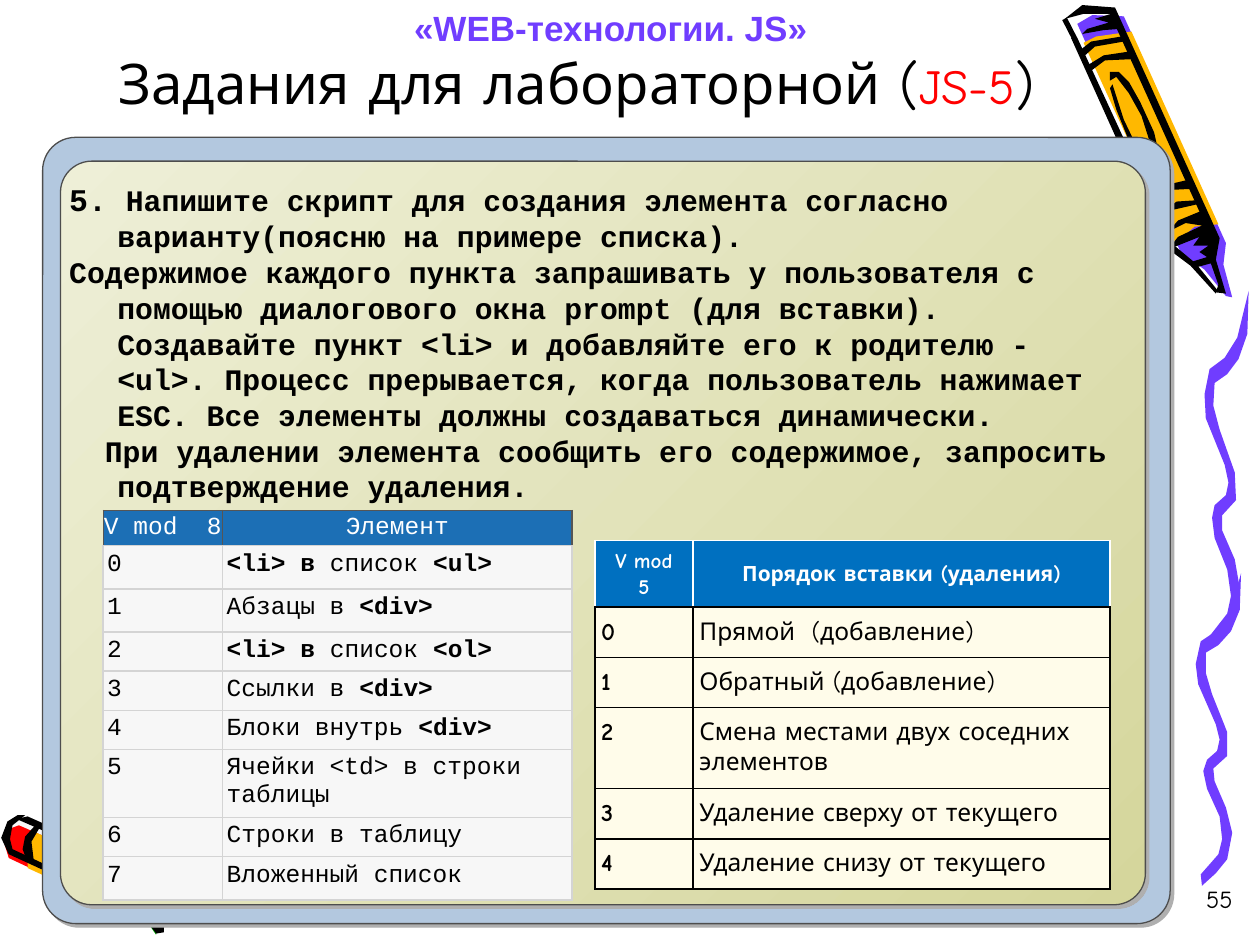
from dataclasses import dataclass

from lxml import etree
from pptx import Presentation
from pptx.dml.color import RGBColor
from pptx.enum.shapes import MSO_CONNECTOR, MSO_SHAPE
from pptx.enum.text import MSO_ANCHOR, MSO_AUTO_SIZE, PP_ALIGN
from pptx.oxml.ns import qn
from pptx.util import Cm, Pt

STRAIGHT, ROUNDED = MSO_CONNECTOR.STRAIGHT, MSO_SHAPE.ROUNDED_RECTANGLE
TOP, MIDDLE, BOTTOM = MSO_ANCHOR.TOP, MSO_ANCHOR.MIDDLE, MSO_ANCHOR.BOTTOM
LEFT, CENTER, RIGHT = PP_ALIGN.LEFT, PP_ALIGN.CENTER, PP_ALIGN.RIGHT
NO_FIT = MSO_AUTO_SIZE.NONE
ART_UNIT = Cm(0.0254)  # one step of the outline coordinates


@dataclass(frozen=True)
class Theme:
    hand: str = "Comic Neue"
    mono: str = "Courier New"
    sans: str = "Arial"
    black: str = "000000"
    white: str = "FFFFFF"
    red: str = "FF0000"
    violet: str = "703DFF"
    amber: str = "FFB800"
    green: str = "00B200"
    pale: str = "F8F8F8"
    panel: str = "B3C8DF"
    panel_line: str = "4D4D4D"
    shadow: str = "AFAFAF"
    sheet: tuple = ("EEEFD7", "D5D69C")
    title: int = 32
    code: int = 28
    banner: int = 20
    number: int = 18
    task: int = 17
    cell: int = 14
    small: int = 12


T = Theme()

# Outlines: fill and x y pairs, measured from the corner of their box
PENCIL = [
    (T.violet, "55 19 137 200 156 214 173 235 178 236 171 210 173 193 92 13 67 12"),
    (T.amber, "133 193 148 180 167 178 98 25 70 29 60 34"),
    (T.black, "129 199 145 211 165 233 166 230 149 209 131 194"),
    (T.black, "59 27 76 24 89 23 82 11 69 15 80 18 63 23"),
    (T.black, "81 70 86 87 97 114 110 132 118 135 121 127 116 105 105 81 96 65 88 57 81 57 "
              "81 64 86 61 96 74 106 92 114 117 113 129 105 122 92 95 83 67"),
    (T.black, "50 30 123 192 125 182 55 30"),
    (T.black, "127 198 135 188 154 179 141 177 127 184 135 175 152 168 81 11 60 11 45 15 59 4 "
              "85 6 168 189 165 206 173 233 165 232 167 226 161 209 150 212 145 208 158 204 "
              "152 200 159 195 147 195 152 188"),
    (T.black, "121 175 129 167 151 162 149 159 134 160 118 171"),
    (T.black, "112 160 125 151 145 150 142 143 125 147 110 155"),
    (T.black, "65 57 77 48 99 47 96 41 76 44 63 52"),
    (T.black, "60 45 69 37 92 33 90 29 66 33 57 40"),
]
CRAYON = [
    (T.pale, "142 118 127 105 120 50 190 37 193 26 186 17 115 27 110 11 98 9 87 11 81 18 86 33 "
             "61 47 90 50 101 86 16 49 8 53 4 64 9 76 103 120 124 118 141 121"),
    (T.red, "15 55 119 100 127 111 141 124 139 126 121 123 103 126 7 81 3 68 7 58"),
    (T.amber, "22 89 103 126 104 108 114 98 29 61 22 72"),
    (T.green, "124 123 124 142 111 123 118 123"),
    (T.black, "110 122 124 141 130 140 130 120 125 118 126 135 117 119"),
    (T.black, "22 48 116 90 107 91 13 50"),
    (T.black, "14 47 6 52 1 65 7 78 103 122 124 120 141 124 147 117 131 105 125 92 120 93 "
              "126 105 138 118 124 116 107 118 110 104 117 94 109 95 102 104 100 116 10 74 "
              "8 66 10 55 20 47"),
    (T.black, "28 55 20 64 18 74 21 82 27 84 25 68 32 56"),
]
SQUIGGLE = [
    (T.violet, "53 494 67 478 70 466 68 448 58 426 55 412 58 403 66 396 68 387 65 375 51 343 "
               "49 327 53 309 65 301 76 287 85 255 84 284 77 301 67 312 57 318 57 334 62 351 "
               "74 381 74 400 63 410 64 420 73 441 78 461 74 482 65 493 54 503"),
    (T.violet, "60 305 74 287 77 273 74 252 64 227 62 211 64 201 73 193 75 183 72 169 57 132 "
               "56 113 60 93 72 84 82 68 91 31 90 65 83 85 74 97 64 104 63 122 68 141 80 175 "
               "81 197 70 209 70 221 80 244 84 267 80 291 72 304 61 315"),
]

TASK = [
    (-0.97, "5. ", "Напишите скрипт для создания элемента согласно варианту(поясню на примере списка)."),
    (-0.97, "", "Содержимое каждого пункта запрашивать у пользователя с помощью диалогового окна prompt "
     "(для вставки). Создавайте пункт <li> и добавляйте его к родителю - <ul>. Процесс прерывается, "
     "когда пользователь нажимает ESC. Все элементы должны создаваться динамически."),
    (-0.25, "", "При удалении элемента сообщить его содержимое, запросить подтверждение удаления."),
]

# Table rows: every second piece between bars is bold
ELEMENTS = dict(
    cols=(2.41, 7.04), rows=(0.71, 0.87, 0.87, 0.79, 0.79, 0.79, 1.37, 0.79, 0.87),
    font=T.mono, sizes=(T.cell, T.cell), fills=("1C6FB5", "F7F7F7"), spacing=1.0, after=0,
    margins=((0, 0), (0.08, 0.1)), header_line=("555555", 0.75), line=("D4D4D4", 1),
    text=[("V mod  8", "Элемент"), ("0", "|<li> в |список |<ul>"), ("1", "Абзацы в |<div>"),
          ("2", "|<li> в |список |<ol>"), ("3", "Ссылки в |<div>"), ("4", "Блоки внутрь |<div>"),
          ("5", "Ячейки <td> в строки таблицы"), ("6", "Строки в таблицу"), ("7", "Вложенный список")])
ORDER = dict(
    cols=(1.98, 8.41), rows=(1.34, 1.01, 1.01, 1.64, 1.01, 1.01),
    font=T.hand, sizes=(T.small, T.cell), fills=("0070C0", "FFFCEA"), spacing=1.07, after=8,
    margins=((0.25, 0.13), (0.13, 0.18)), header_line=(T.white, 1), line=(T.black, 1),
    text=[("|V mod 5", "|Порядок вставки (удаления)"), ("|0", "Прямой  (добавление)"),
          ("|1", "Обратный (добавление)"), ("|2", "Смена местами двух соседних элементов"),
          ("|3", "Удаление сверху от текущего"), ("|4", "Удаление снизу от текущего")])


def rgb(color):
    return RGBColor.from_string(color)


def apply(target, **values):
    for name, value in values.items():
        setattr(target, name, value)


def write(paragraph, text, font, size, color, bold=False):
    run = paragraph.add_run()
    run.text = text
    apply(run.font, name=font, size=Pt(size), bold=bold)
    run.font.color.rgb = rgb(color)


def place(shape, box):
    apply(shape, **dict(zip(("left", "top", "width", "height"), map(Cm, box))))


def add_outlines(slide, box, outlines):
    for color, numbers in outlines:
        values = [int(n) for n in numbers.split()]
        points = list(zip(values[::2], values[1::2]))
        builder = slide.shapes.build_freeform(*points[0], scale=float(ART_UNIT))
        builder.add_line_segments(points[1:], close=True)
        outline = builder.convert_to_shape(Cm(box[0]), Cm(box[1]))
        outline.shadow.inherit = False
        outline.fill.solid()
        outline.fill.fore_color.rgb = rgb(color)
        outline.line.fill.background()


def add_pencil(slide, box):
    x, y = box
    add_outlines(slide, box, PENCIL)
    edge = slide.shapes.add_connector(STRAIGHT, *map(Cm, (x + 1.14, y + 0.38, x + 1.35, y + 0.79)))
    edge.line.color.rgb = rgb(T.black)
    edge.line.width = Pt(3)
    etree.SubElement(edge.element.spPr, qn("a:effectLst"))


def add_panel(slide, box):
    x, y, width, height = box
    frame, sheet = [slide.shapes.add_shape(ROUNDED, *map(Cm, part)) for part in (
        box, (x + 0.36, y + 0.48, width - 0.86, height - 0.86))]
    frame.fill.solid()
    frame.fill.fore_color.rgb = rgb(T.panel)
    sheet.fill.gradient()
    sheet.fill.gradient_angle = 315
    for position, (stop, color) in enumerate(zip(sheet.fill.gradient_stops, T.sheet)):
        stop.position = position
        stop.color.rgb = rgb(color)
    for card in (frame, sheet):
        card.adjustments[0] = 0.042
        card.line.color.rgb = rgb(T.panel_line)
        card.line.width = Pt(0.75)
        card.shadow.inherit = False
        effects = card.element.spPr.find(qn("a:effectLst"))
        shadow = etree.SubElement(effects, qn("a:outerShdw"), dist=str(Pt(2.8)), dir="2700000",
                                  algn="ctr", rotWithShape="0")
        etree.SubElement(shadow, qn("a:srgbClr"), val=T.shadow)


def add_title(slide, box):
    title = slide.shapes.title
    place(title, box)
    apply(title.text_frame, auto_size=NO_FIT, word_wrap=True, vertical_anchor=MIDDLE)
    heading = title.text_frame.paragraphs[0]
    heading.alignment = CENTER
    for text, size, color in (("Задания для лабораторной (", T.title, T.black),
                              ("JS-5", T.code, T.red), (")", T.title, T.black)):
        write(heading, text, T.hand, size, color)


def add_task(slide, box):
    task = slide.placeholders[1]
    task.element.getparent().append(task.element)  # bring in front of the panel
    place(task, box)
    frame = task.text_frame
    apply(frame, auto_size=NO_FIT, word_wrap=True, vertical_anchor=TOP)
    for index, (indent, number, text) in enumerate(TASK):
        item = frame.add_paragraph() if index else frame.paragraphs[0]
        properties = item._p.get_or_add_pPr()
        properties.set("marL", str(Cm(0.97)))
        properties.set("indent", str(Cm(indent)))
        etree.SubElement(properties, qn("a:buNone"))
        apply(item, alignment=LEFT, line_spacing=1.0, space_before=Pt(0))
        if number:
            write(item, number, T.mono, T.number, T.black, True)
        write(item, text, T.mono, T.task, T.black, True)


def add_banner(slide, box):
    banner = slide.shapes.add_shape(ROUNDED, *map(Cm, box))
    banner.adjustments[0] = 0.217
    banner.shadow.inherit = False
    banner.fill.background()
    banner.line.fill.background()
    apply(banner.text_frame, word_wrap=True, vertical_anchor=BOTTOM)
    course = banner.text_frame.paragraphs[0]
    apply(course, alignment=CENTER, line_spacing=0.9)
    write(course, "«WEB-технологии. JS» ", T.sans, T.banner, T.violet, True)


def add_page_number(slide, box):
    frame = slide.shapes.add_textbox(*map(Cm, box)).text_frame
    frame.word_wrap = True
    frame.paragraphs[0].alignment = RIGHT
    write(frame.paragraphs[0], "55", T.hand, T.cell, T.black)


def set_borders(cell, borders):
    for side, (color, width) in zip("LRTB", borders):
        line = etree.SubElement(cell._tc.get_or_add_tcPr(), qn(f"a:ln{side}"), w=str(Pt(width)))
        etree.SubElement(etree.SubElement(line, qn("a:solidFill")), qn("a:srgbClr"), val=color)


def add_variants(slide, corner, plan):
    cols, rows, line = plan["cols"], plan["rows"], plan["line"]
    table = slide.shapes.add_table(len(rows), len(cols), *map(Cm, (*corner, sum(cols), sum(rows)))).table
    apply(table, first_row=False, horz_banding=False)
    for column, width in zip(table.columns, cols):
        column.width = Cm(width)
    for r, (row, height) in enumerate(zip(table.rows, rows)):
        row.height = Cm(height)
        body = int(r > 0)
        side, end = plan["margins"][body]
        for cell, text in zip(row.cells, plan["text"][r]):
            set_borders(cell, [line] * 4 if body else [plan["header_line"]] * 3 + [line])
            cell.fill.solid()
            cell.fill.fore_color.rgb = rgb(plan["fills"][body])
            apply(cell, margin_left=Cm(side), margin_right=Cm(side), margin_top=Cm(end),
                  margin_bottom=Cm(end), vertical_anchor=TOP if body else MIDDLE)
            entry = cell.text_frame.paragraphs[0]
            apply(entry, alignment=LEFT if body else CENTER, line_spacing=plan["spacing"],
                  space_after=Pt(0 if body else plan["after"]))
            for i, piece in enumerate(text.split("|")):
                if piece:
                    write(entry, piece, plan["font"], plan["sizes"][body],
                          T.black if body else T.white, i % 2 == 1)


def main():
    deck = Presentation()
    apply(deck, slide_width=Cm(25.4), slide_height=Cm(19.05))
    slide = deck.slides.add_slide(deck.slide_layouts[1])
    # Decoration behind the panel
    add_outlines(slide, (0, 15.24), CRAYON)
    add_outlines(slide, (22.86, 5.08), SQUIGGLE)
    add_pencil(slide, (20.32, 0))
    add_panel(slide, (0.86, 2.77, 22.73, 15.85))
    # Content
    add_page_number(slide, (23.6, 17.7, 1.5, 0.91))
    add_title(slide, (0, 0.89, 23.24, 1.52))
    add_task(slide, (1.14, 3.51, 21.95, 6.83))
    add_banner(slide, (6.71, 0, 11.4, 1.19))
    add_variants(slide, (2.08, 10.29), ELEMENTS)
    add_variants(slide, (11.99, 10.9), ORDER)
    deck.save("out.pptx")


if __name__ == "__main__":
    main()
